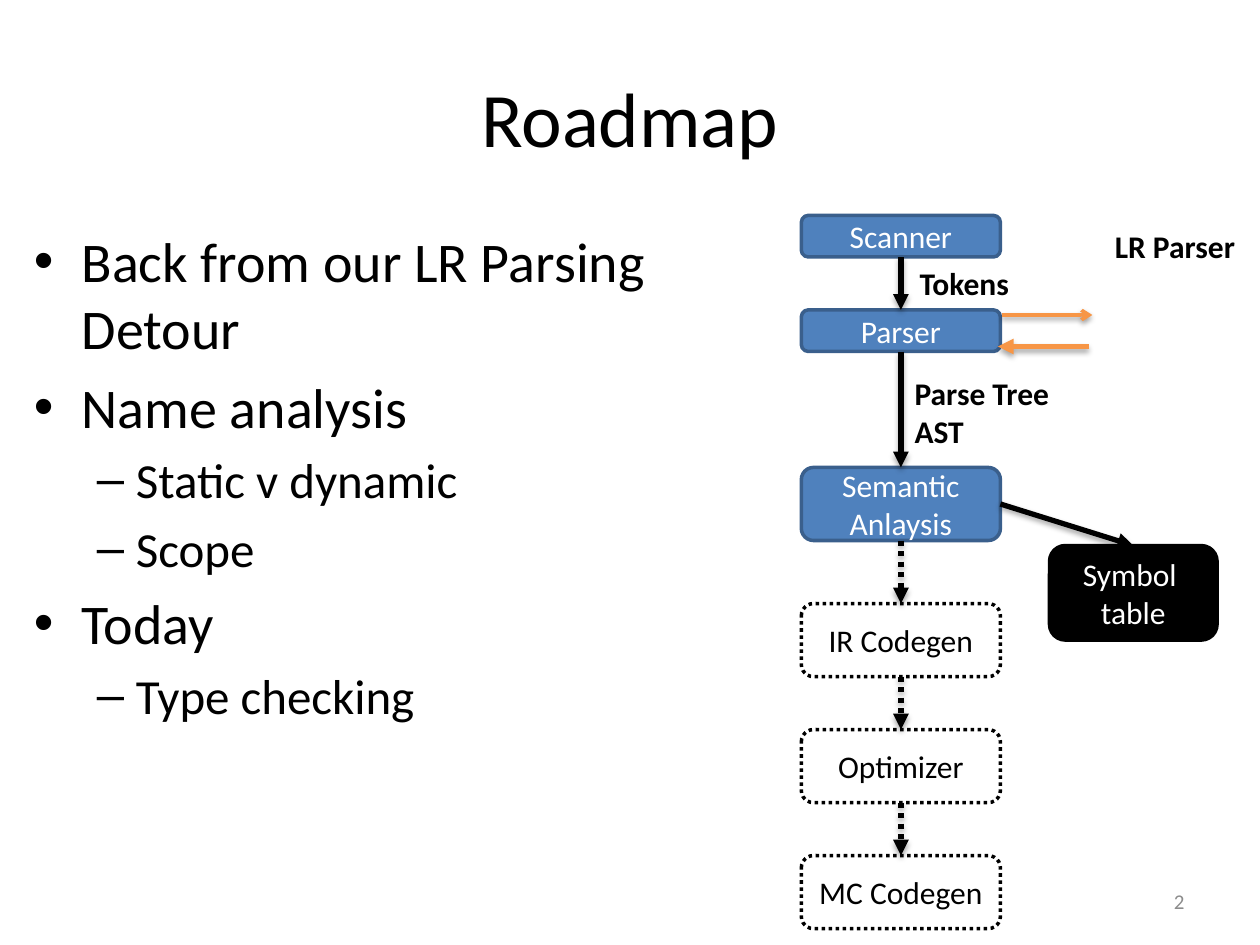
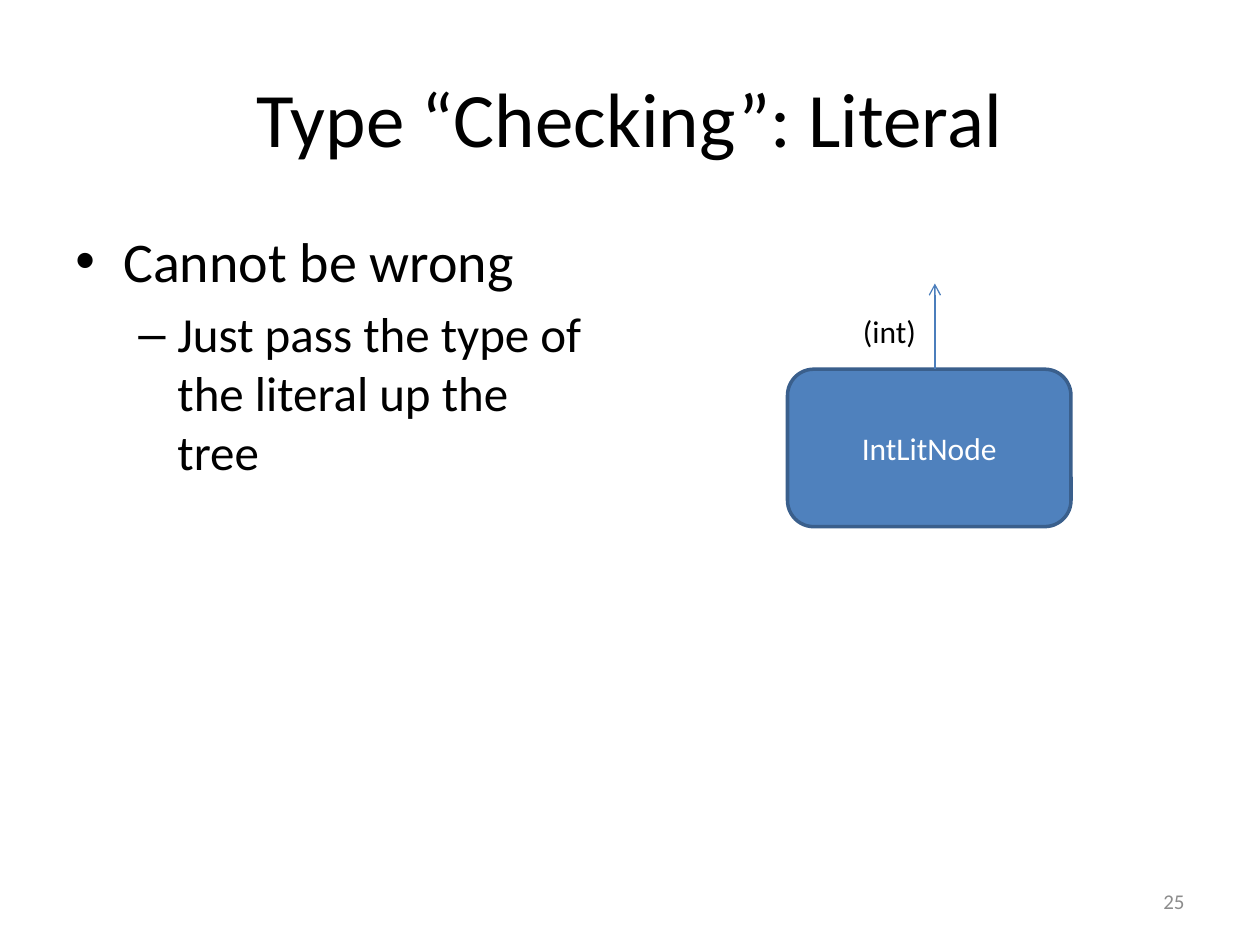
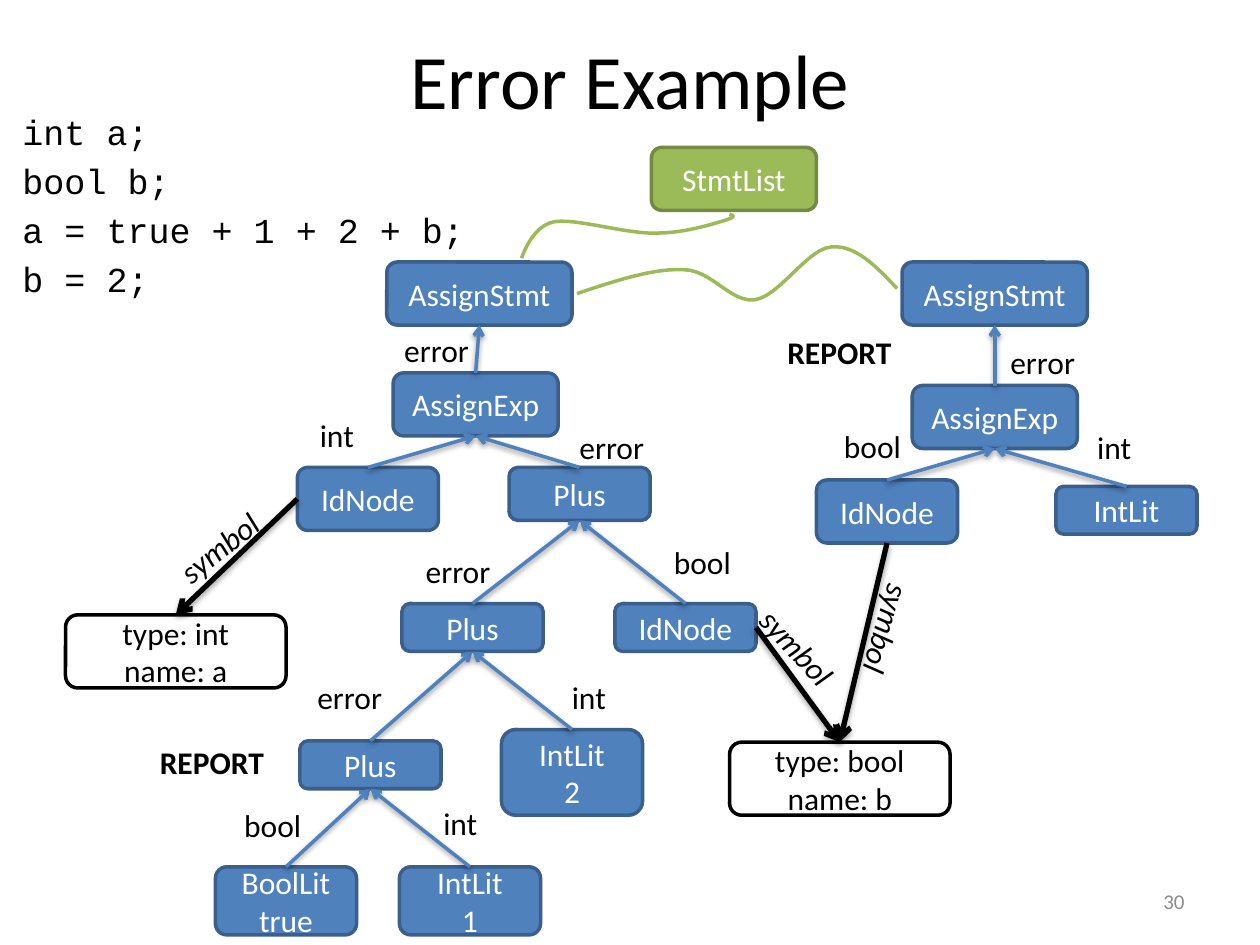
from lxml import etree
from pptx import Presentation
from pptx.dml.color import RGBColor
from pptx.enum.dml import MSO_LINE
from pptx.enum.shapes import MSO_CONNECTOR, MSO_SHAPE
from pptx.enum.text import MSO_ANCHOR, PP_ALIGN
from pptx.oxml.ns import qn
from pptx.util import Inches, Pt

# Shared look
BLACK = RGBColor(0x00, 0x00, 0x00)
WHITE = RGBColor(0xFF, 0xFF, 0xFF)
GREY = RGBColor(0x8C, 0x8C, 0x8C)
BLUE = RGBColor(0x4F, 0x81, 0xBD)
NAVY = RGBColor(0x3A, 0x5F, 0x8C)
STEEL = RGBColor(0x4B, 0x7E, 0xBC)
GREEN = RGBColor(0x9B, 0xBB, 0x59)
MOSS = RGBColor(0x73, 0x8A, 0x42)
ORANGE = RGBColor(0xF7, 0x96, 0x46)
SANS, MONO = "Calibri", "Courier New"

ROUND = MSO_SHAPE.ROUNDED_RECTANGLE
STRAIGHT = MSO_CONNECTOR.STRAIGHT
DOTS = MSO_LINE.ROUND_DOT
LEFT, MID, RIGHT = PP_ALIGN.LEFT, PP_ALIGN.CENTER, PP_ALIGN.RIGHT
TOP, HALF = MSO_ANCHOR.TOP, MSO_ANCHOR.MIDDLE

# Box styles: fill, line, text, dash
SOLID = (BLUE, NAVY, WHITE, None)
LEAF = (GREEN, MOSS, WHITE, None)
DARK = (BLACK, BLACK, WHITE, None)
PLAIN = (WHITE, BLACK, BLACK, None)
TODO = (WHITE, BLACK, BLACK, DOTS)

# Connection sites of a box
UP, WEST, DOWN, EAST = range(4)

# Bullet levels: size, left margin, hanging indent, mark
LEVELS = [(32, 0.38, 0.38, "•"), (28, 0.81, 0.31, "–")]


def style(para, size, color=BLACK, align=LEFT, face=SANS):
    para.alignment = align
    font = para.font
    font.name, font.size, font.color.rgb = face, Pt(size), color


def put(frame, text, size, color=BLACK, align=LEFT, anchor=TOP, face=SANS):
    """Fill a frame, one paragraph per line of text."""
    frame.text = text
    frame.vertical_anchor = anchor
    for para in frame.paragraphs:
        style(para, size, color, align, face)


def area(slide, x, y, w, h):
    box = slide.shapes.add_textbox(Inches(x), Inches(y), Inches(w), Inches(h))
    box.text_frame.word_wrap = True
    return box.text_frame


def start(deck, title, number, top=0.3):
    """Add a slide with its title and number."""
    slide = deck.slides.add_slide(deck.slide_layouts[6])
    put(area(slide, 0.5, top, 9, 1.25), title, 44, align=MID, anchor=HALF)
    put(area(slide, 7.17, 6.95, 2.33, 0.4), str(number), 12, GREY, RIGHT, HALF)
    return slide


def bullets(slide, x, w, items):
    frame = area(slide, x, 1.75, w, 4.95)
    frame.text = "\n".join(text for _, text in items)
    for para, (level, _) in zip(frame.paragraphs, items):
        size, margin, hang, mark = LEVELS[level]
        style(para, size)
        para.level = level
        para.space_before = Pt(size * 0.2)
        props = para._p.get_or_add_pPr()
        props.set("marL", str(Inches(margin)))
        props.set("indent", str(-Inches(hang)))
        etree.SubElement(props, qn("a:buFont"), typeface="Arial")
        etree.SubElement(props, qn("a:buChar"), char=mark)


def label(slide, text, x, y, w, h=0.4, bold=False, italic=False, turn=0):
    box = slide.shapes.add_textbox(Inches(x), Inches(y), Inches(w), Inches(h))
    box.rotation = turn
    box.text_frame.word_wrap = False
    put(box.text_frame, text, 18)
    for para in box.text_frame.paragraphs:
        para.font.bold, para.font.italic = bold, italic


def node(slide, text, x, y, w, h, look=SOLID):
    fill, edge, color, dash = look
    box = slide.shapes.add_shape(ROUND, Inches(x), Inches(y), Inches(w), Inches(h))
    box.shadow.inherit = False
    box.fill.solid()
    box.fill.fore_color.rgb = fill
    box.line.color.rgb = edge
    box.line.width = Pt(2)
    if dash:
        box.line.dash_style = dash
    put(box.text_frame, text, 18, color, MID, HALF)
    return box


def finish(wire, color, width, tip, dash=None, shade=True):
    """Give a connector its line, arrowhead and shadow."""
    wire.line.color.rgb = color
    wire.line.width = Pt(width)
    if dash:
        wire.line.dash_style = dash
    etree.SubElement(wire.line._get_or_add_ln(), qn("a:tailEnd"), type=tip)
    effects = etree.SubElement(wire._element.spPr, qn("a:effectLst"))
    if shade:
        drop, alpha = (23000, 35000) if width > 2 else (20000, 38000)
        shadow = etree.SubElement(effects, qn("a:outerShdw"), blurRad="40000",
                                  dist=str(drop), dir="5400000", rotWithShape="0")
        ink = etree.SubElement(shadow, qn("a:srgbClr"), val=str(BLACK))
        etree.SubElement(ink, qn("a:alpha"), val=str(alpha))


def arrow(slide, x1, y1, x2, y2, *look, **more):
    wire = slide.shapes.add_connector(
        STRAIGHT, Inches(x1), Inches(y1), Inches(x2), Inches(y2))
    finish(wire, *look, **more)


def link(slide, tail, out, head, into, *look, **more):
    """Join a site of one box to a site of another."""
    wire = slide.shapes.add_connector(STRAIGHT, 0, 0, 0, 0)
    wire.begin_connect(tail, out)
    wire.end_connect(head, into)
    finish(wire, *look, **more)


def curve(slide, points, steps=12):
    """Draw joined cubic curves: a start, then three points for each piece."""
    knots = [(Inches(x), Inches(y)) for x, y in points]
    dots = [knots[0]]
    for i in range(0, len(knots) - 1, 3):
        piece = knots[i:i + 4]
        for n in range(1, steps + 1):
            t = n / steps
            parts = ((1 - t) ** 3, 3 * t * (1 - t) ** 2, 3 * t * t * (1 - t), t ** 3)
            dots.append(tuple(round(sum(k * p[axis] for k, p in zip(parts, piece)))
                              for axis in (0, 1)))
    pen = slide.shapes.build_freeform(*dots[0])
    pen.add_line_segments(dots[1:], close=False)
    shape = pen.convert_to_shape()
    shape.shadow.inherit = False
    shape.fill.background()
    shape.line.color.rgb = GREEN
    shape.line.width = Pt(2)


def roadmap(deck):
    slide = start(deck, "Roadmap", 2)
    bullets(slide, 0.17, 5.5, [
        (0, "Back from our LR Parsing Detour"), (0, "Name analysis"),
        (1, "Static v dynamic"), (1, "Scope"),
        (0, "Today"), (1, "Type checking")])

    # Compiler stages, top to bottom
    stages = [
        ("Scanner", 1.71, 0.33, SOLID), ("Parser", 2.46, 0.33, SOLID),
        ("Semantic Anlaysis", 3.71, 0.58, SOLID), ("IR Codegen", 4.79, 0.58, TODO),
        ("Optimizer", 5.79, 0.58, TODO), ("MC Codegen", 6.79, 0.58, TODO)]
    boxes = [node(slide, text, 6.36, y, 1.58, h, look)
             for text, y, h, look in stages]
    for above, below, stage in zip(boxes, boxes[1:], stages[1:]):
        link(slide, above, DOWN, below, UP, BLACK, 3, "triangle", dash=stage[3][3])
    table = node(slide, "Symbol \ntable", 8.33, 4.33, 1.33, 0.75, DARK)
    link(slide, boxes[2], EAST, table, UP, BLACK, 3, "triangle")

    # Detour and what passes between stages
    arrow(slide, 7.95, 2.5, 8.67, 2.5, ORANGE, 2, "arrow")
    arrow(slide, 8.64, 2.75, 7.92, 2.75, ORANGE, 3, "triangle")
    label(slide, "Tokens", 7.2, 2.05, 0.91, bold=True)
    label(slide, "Parse Tree\nAST", 7.16, 2.92, 1.28, 0.71, bold=True)
    label(slide, "LR Parser", 8.75, 1.75, 1.17, bold=True)


def literal(deck):
    slide = start(deck, "Type “Checking”: Literal", 25)
    bullets(slide, 0.5, 4.33, [
        (0, "Cannot be wrong"),
        (1, "Just pass the type of the literal up the tree")])
    node(slide, "IntLitNode", 6.25, 2.93, 2.25, 1.25)
    arrow(slide, 7.42, 2.93, 7.42, 2.25, STEEL, 0.75, "arrow", shade=False)
    label(slide, "(int)", 6.75, 2.43, 0.63)


def errors(deck):
    slide = start(deck, "Error Example", 30, top=0)
    code = area(slide, 0.08, 0.83, 4.58, 5.75)
    put(code, "int a;\nbool b;\na = true + 1 + 2 + b;\nb = 2;", 20, face=MONO)
    for para in code.paragraphs:
        para.space_before = Pt(4)

    # Tree nodes: key, text, place, parent
    tree = [
        ("stmt1", "AssignStmt", 3.07, 2.08, 1.47, 0.5, None),
        ("exp1", "AssignExp", 3.12, 2.96, 1.31, 0.5, "stmt1"),
        ("id1", "IdNode", 2.36, 3.71, 1.12, 0.5, "exp1"),
        ("plus1", "Plus", 4.04, 3.71, 1.12, 0.42, "exp1"),
        ("plus2", "Plus", 3.19, 4.79, 1.12, 0.38, "plus1"),
        ("id2", "IdNode", 4.88, 4.79, 1.12, 0.38, "plus1"),
        ("plus3", "Plus", 2.38, 5.88, 1.12, 0.38, "plus2"),
        ("two", "IntLit\n2", 3.98, 5.79, 1.12, 0.68, "plus2"),
        ("true", "BoolLit\ntrue", 1.71, 6.88, 1.12, 0.54, "plus3"),
        ("one", "IntLit\n1", 3.17, 6.88, 1.12, 0.54, "plus3"),
        ("stmt2", "AssignStmt", 7.16, 2.08, 1.47, 0.5, None),
        ("exp2", "AssignExp", 7.24, 3.06, 1.31, 0.5, "stmt2"),
        ("id3", "IdNode", 6.48, 3.81, 1.12, 0.5, "exp2"),
        ("int", "IntLit", 8.38, 3.86, 1.12, 0.38, "exp2")]
    boxes = {}
    for key, text, x, y, w, h, parent in tree:
        boxes[key] = node(slide, text, x, y, w, h)
        if parent:
            link(slide, boxes[key], UP, boxes[parent], DOWN, BLUE, 2, "arrow")

    # Statement list and its curves
    node(slide, "StmtList", 5.17, 1.17, 1.31, 0.5, LEAF)
    curve(slide, [(5.79, 1.7), (5.82, 1.71), (5.85, 1.72), (5.75, 1.75),
                  (5.65, 1.78), (5.43, 1.85), (5.21, 1.85),
                  (4.98, 1.86), (4.57, 1.73), (4.4, 1.76),
                  (4.22, 1.79), (4.14, 2.05), (4.14, 2.05)])
    curve(slide, [(4.58, 2.33), (4.88, 2.23), (5.18, 2.13), (5.42, 2.14),
                  (5.65, 2.14), (5.79, 2.4), (5.99, 2.38),
                  (6.19, 2.35), (6.41, 1.97), (6.6, 1.96),
                  (6.79, 1.94), (6.96, 2.12), (7.12, 2.29)])

    # Symbols and the names that use them
    sym_a = node(slide, "type: int\nname: a", 0.52, 4.88, 1.75, 0.58, PLAIN)
    sym_b = node(slide, "type: bool\nname: b", 5.79, 5.89, 1.75, 0.58, PLAIN)
    for key, site, symbol, x, y, turn in [
            ("id1", WEST, sym_a, 1.28, 4.14, 321.4),
            ("id2", EAST, sym_b, 5.87, 4.94, 47.5),
            ("id3", DOWN, sym_b, 6.58, 4.8, 106.8)]:
        link(slide, boxes[key], site, symbol, UP, BLACK, 3, "arrow")
        label(slide, "symbol", x, y, 0.92, italic=True, turn=turn)

    # Types passed up the tree
    types = {
        "bool": (0.66, [(1.84, 6.35), (5.25, 4.26), (6.6, 3.34)]),
        "int": (0.47, [(3.42, 6.33), (4.44, 5.33), (2.44, 3.25), (8.61, 3.35)]),
        "error": (0.72, [(2.42, 5.33), (3.28, 4.33), (4.5, 3.35),
                         (3.11, 2.58), (7.92, 2.67)]),
        "REPORT": (1.04, [(1.17, 5.85), (6.15, 2.59)])}
    for text, (w, spots) in types.items():
        for x, y in spots:
            label(slide, text, x, y, w, bold=text == "REPORT")


def main():
    deck = Presentation()
    deck.slide_width, deck.slide_height = Inches(10), Inches(7.5)
    roadmap(deck)
    literal(deck)
    errors(deck)
    deck.save("out.pptx")


if __name__ == "__main__":
    main()
